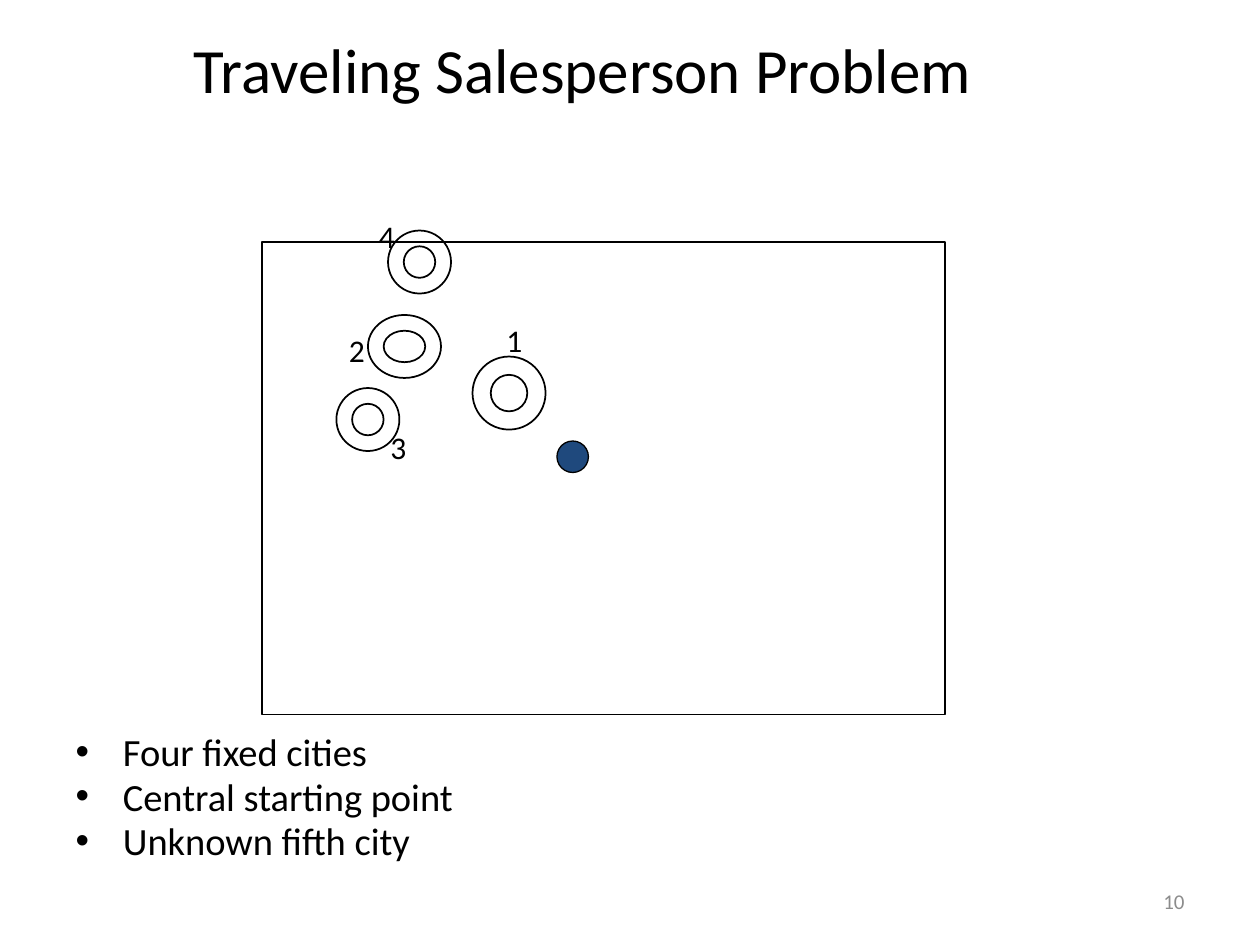
"""Build the Traveling Salesperson Problem slide with its map of cities."""
from dataclasses import dataclass

from pptx import Presentation
from pptx.dml.color import RGBColor
from pptx.enum.shapes import MSO_SHAPE
from pptx.enum.text import MSO_ANCHOR, MSO_AUTO_SIZE, PP_ALIGN
from pptx.util import Inches, Pt

COLORS = {"ink": "000000", "start": "1F497D", "page": "8C8C8C"}
FONT = "Calibri"


@dataclass(frozen=True)
class Box:
    left: float
    top: float
    width: float
    height: float

    def lengths(self) -> list:
        return [Inches(v) for v in (self.left, self.top, self.width, self.height)]


@dataclass(frozen=True)
class City:
    number: str
    ring: Box
    label_left: float
    label_top: float


CITIES = [
    City("4", Box(3.08, 1.83, 0.5, 0.5), 2.91, 1.67),
    City("2", Box(2.92, 2.5, 0.58, 0.5), 2.67, 2.58),
    City("3", Box(2.67, 3.08, 0.5, 0.5), 3, 3.35),
    City("1", Box(3.75, 2.83, 0.58, 0.58), 3.92, 2.5),
]


def place(placeholder, box: Box) -> None:
    (placeholder.left, placeholder.top,
     placeholder.width, placeholder.height) = box.lengths()


def write(holder, text: str, *, size: float, color: str = "ink", align=None,
          anchor=MSO_ANCHOR.TOP, wrap: bool = True, spacing=None) -> None:
    frame = holder.text_frame
    frame.text = text
    frame.auto_size = MSO_AUTO_SIZE.NONE
    frame.word_wrap = wrap
    frame.vertical_anchor = anchor
    for paragraph in frame.paragraphs:
        paragraph.alignment = align
        paragraph.line_spacing = spacing
        for run in paragraph.runs:
            run.font.size = Pt(size)
            run.font.name = FONT
            run.font.color.rgb = RGBColor.from_string(COLORS[color])


def draw(slide, kind, box: Box, *, line: float, fill: str = "") -> None:
    shape = slide.shapes.add_shape(kind, *box.lengths())
    shape.shadow.inherit = False
    shape.line.color.rgb = RGBColor.from_string(COLORS["ink"])
    shape.line.width = Pt(line)
    if fill:
        shape.fill.solid()
        shape.fill.fore_color.rgb = RGBColor.from_string(COLORS[fill])
    else:
        shape.fill.background()


def build() -> None:
    deck = Presentation()
    deck.slide_width, deck.slide_height = Inches(10), Inches(7.5)
    slide = deck.slides.add_slide(deck.slide_layouts[1])

    title = slide.shapes.title
    place(title, Box(0.5, 0.13, 8.25, 1.42))
    write(title, "Traveling Salesperson Problem", size=36, align=PP_ALIGN.CENTER)
    title.text_frame.margin_top = Inches(0.11)

    facts = slide.placeholders[1]
    place(facts, Box(0.5, 5.8, 9, 1.2))
    write(facts, "Four fixed cities\nCentral starting point\nUnknown fifth city",
          size=22, spacing=0.8)

    for city in CITIES:
        draw(slide, MSO_SHAPE.DONUT, city.ring, line=1)
    draw(slide, MSO_SHAPE.RECTANGLE, Box(2.08, 1.92, 5.42, 3.75), line=0.75)
    draw(slide, MSO_SHAPE.OVAL, Box(4.42, 3.5, 0.25, 0.25), line=0.75, fill="start")

    for city in CITIES:
        label = Box(city.label_left, city.label_top, 0.34, 0.4)
        write(slide.shapes.add_textbox(*label.lengths()), city.number,
              size=18, wrap=False)

    page_number = slide.shapes.add_textbox(*Box(7.17, 6.95, 2.33, 0.4).lengths())
    write(page_number, "10", size=12, color="page", align=PP_ALIGN.RIGHT,
          anchor=MSO_ANCHOR.MIDDLE)

    deck.save("out.pptx")


build()
